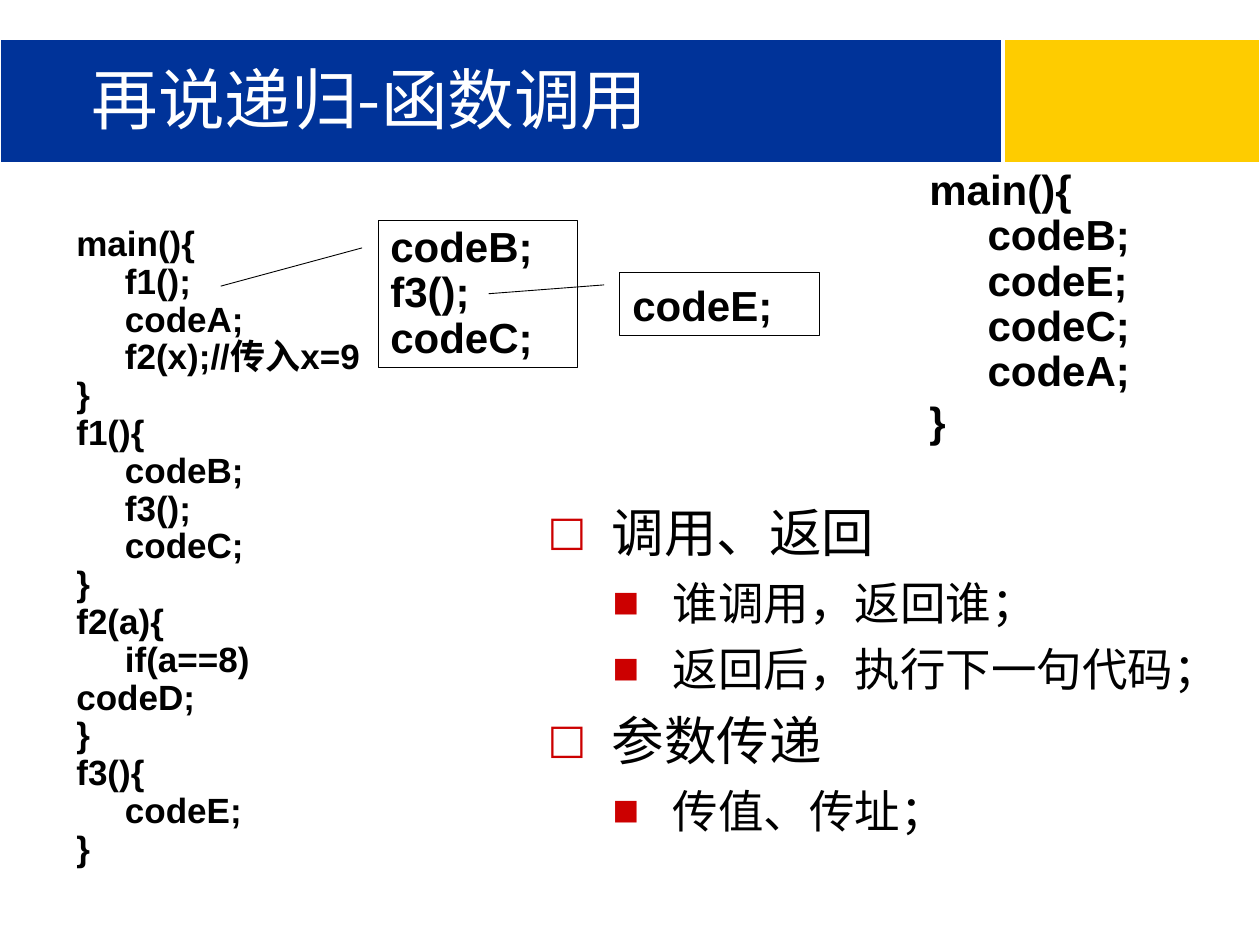
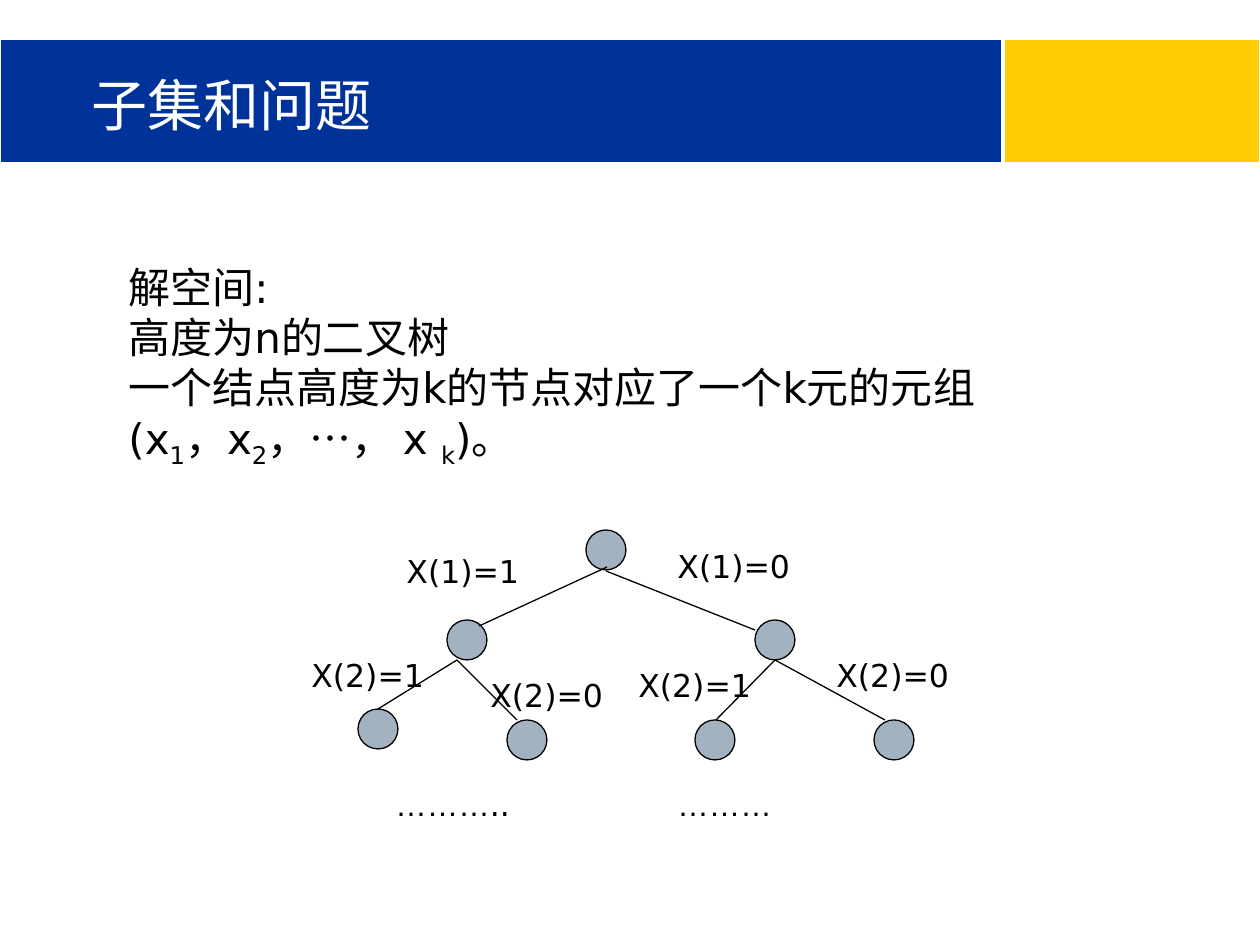
from lxml.etree import SubElement
from pptx import Presentation
from pptx.dml.color import RGBColor
from pptx.enum.shapes import MSO_CONNECTOR, MSO_SHAPE
from pptx.enum.text import MSO_ANCHOR, MSO_AUTO_SIZE, PP_ALIGN
from pptx.oxml.ns import qn
from pptx.util import Pt

EMU_PER_PX = 914400 / 126
COLORS = {
    "blue": "003399",
    "yellow": "FECC00",
    "white": "FFFFFF",
    "black": "000000",
    "bullet": "CC0000",
    "node": "A3B2C1",
}
CODE_FONT, TEXT_FONT, CHINESE_FONT = "Arial", "DejaVu Sans", "Noto Sans CJK SC"

# Boxes are (left, top, width, height) in px
BANDS = [((1004, 39, 256, 124), "yellow"), ((0, 39, 1002, 124), "blue")]
TITLE_BOX = (79, 42, 1103, 102)

CALL_TITLE = "再说递归-函数调用"
PROGRAM = [
    "main(){", "     f1();", "     codeA;", "     f2(x);//传入x=9", "}",
    "f1(){", "     codeB;", "     f3();", "     codeC;", "}",
    "f2(a){", "     if(a==8) codeD;", "}",
    "f3(){", "     codeE;", "}",
]
EXPANDED_MAIN = [
    "main(){", "     codeB;", "     codeE;", "     codeC;", "     codeA;", "}",
]
CALLOUTS = [
    ((378, 220, 199, 147), ["codeB;", "f3();", "codeC;"], 0.9,
     (0.19, -0.08, 0.45, -0.79)),
    ((620, 273, 199, 63), ["codeE;"], 1.0, (0.19, -0.08, 0.33, -0.66)),
]
CALL_NOTES_BOX = (535, 494, 672, 349)
CALL_NOTES = [
    (0, "调用、返回"),
    (1, "谁调用，返回谁；"),
    (1, "返回后，执行下一句代码；"),
    (0, "参数传递"),
    (1, "传值、传址；"),
]
BULLET_LEVELS = [
    {"char": "□", "percent": 78, "left": 64, "hanging": 64, "size": 30, "before": 7.5},
    {"char": "■", "percent": 62, "left": 125, "hanging": 60, "size": 26, "before": 6.5},
]

SUBSET_TITLE = "子集和问题"
# A line is a string or a list of runs: (text, font or None, baseline percent)
SOLUTION_SPACE = [
    "解空间:",
    "高度为n的二叉树",
    "一个结点高度为k的节点对应了一个k元的元组",
    [("(x", None, 0), ("1", None, -25), ("，x", None, 0), ("2", None, -25),
     ("，", None, 0), ("…", CODE_FONT, 0), ("， x ", None, 0),
     ("k", None, -25), (")。", None, 0)],
]
NODE_SIZE = 40
NODES = [(586, 530), (447, 620), (755, 620), (358, 709), (507, 720), (695, 720), (874, 720)]
BRANCHES = [
    ((607, 567), [(479, 626)]),
    ((606, 571), [(755, 630)]),
    ((457, 660), [(378, 709), (517, 720)]),
    ((775, 660), [(716, 720), (885, 720)]),
]
LABEL_SIZE = (169, 50)
BRANCH_LABELS = [
    ((394, 546), "X(1)=1"), ((665, 541), "X(1)=0"),
    ((299, 650), "X(2)=1"), ((478, 670), "X(2)=0"),
    ((626, 660), "X(2)=1"), ((824, 650), "X(2)=0"),
]
CONTINUATIONS = [
    ((383, 779, 248, 50), [("………", CODE_FONT, 0), ("..", None, 0)]),
    ((665, 779, 318, 50), [("………", CODE_FONT, 0)]),
]


def px(*lengths):
    return [round(length * EMU_PER_PX) for length in lengths]


def rgb(name):
    return RGBColor.from_string(COLORS[name])


def style_paragraph(paragraph, size, font_name, color="black", bold=False):
    font = paragraph.font
    font.size, font.bold = Pt(size), bold
    font.color.rgb = rgb(color)
    font.name = font_name
    defaults = paragraph._p.pPr.find(qn("a:defRPr"))
    SubElement(defaults, qn("a:ea"), typeface=CHINESE_FONT)


def add_runs(paragraph, line):
    runs = [(line, None, 0)] if isinstance(line, str) else line
    for text, font_name, baseline in runs:
        run = paragraph.add_run()
        run.text = text
        if font_name:
            run.font.name = font_name
        if baseline:
            run._r.get_or_add_rPr().set("baseline", str(baseline * 1000))


def write_lines(frame, lines, size, font_name, spacing=1.0, bold=False):
    for index, line in enumerate(lines):
        paragraph = frame.add_paragraph() if index else frame.paragraphs[0]
        add_runs(paragraph, line)
        paragraph.alignment = PP_ALIGN.LEFT
        paragraph.line_spacing = spacing
        style_paragraph(paragraph, size, font_name, bold=bold)


def add_text(slide, box, lines, size, font_name, wrap=True, **style):
    frame = slide.shapes.add_textbox(*px(*box)).text_frame
    frame.word_wrap = wrap
    write_lines(frame, lines, size, font_name, **style)
    return frame


def add_filled_shape(slide, kind, box, fill, line, line_width=0.75):
    shape = slide.shapes.add_shape(kind, *px(*box))
    shape.shadow.inherit = False
    shape.fill.solid()
    shape.fill.fore_color.rgb = rgb(fill)
    shape.line.color.rgb = rgb(line)
    shape.line.width = Pt(line_width)
    return shape


def add_branch(slide, start, end):
    connector = slide.shapes.add_connector(MSO_CONNECTOR.STRAIGHT, *px(*start, *end))
    connector.line.color.rgb = rgb("black")
    connector.line.width = Pt(0.75)
    SubElement(connector._element.spPr, qn("a:effectLst"))


def move_placeholder(shape, box):
    shape.left, shape.top, shape.width, shape.height = px(*box)
    shape.text_frame.auto_size = MSO_AUTO_SIZE.NONE


def add_titled_slide(presentation, layout_index, title, size):
    slide = presentation.slides.add_slide(presentation.slide_layouts[layout_index])
    shape = slide.shapes.title
    move_placeholder(shape, TITLE_BOX)
    shape.text_frame.vertical_anchor = MSO_ANCHOR.BOTTOM
    paragraph = shape.text_frame.paragraphs[0]
    paragraph.text = title
    paragraph.alignment = PP_ALIGN.LEFT
    style_paragraph(paragraph, size, CHINESE_FONT, "white")
    return slide


def add_bands_to_master(presentation, slide):
    """Draw the bands on a slide, then move them to the master behind all slides."""
    for box, color in BANDS:
        band = add_filled_shape(slide, MSO_SHAPE.RECTANGLE, box, color, "white")
        presentation.slide_master.shapes.element.append(band.element)


def add_bullet(paragraph, level):
    properties = paragraph._p.get_or_add_pPr()
    left, hanging = px(level["left"], level["hanging"])
    properties.set("marL", str(left))
    properties.set("indent", str(-hanging))
    color = SubElement(properties, qn("a:buClr"))
    SubElement(color, qn("a:srgbClr"), val=COLORS["bullet"])
    SubElement(properties, qn("a:buSzPct"), val=str(level["percent"] * 1000))
    SubElement(properties, qn("a:buFont"), typeface=TEXT_FONT)
    SubElement(properties, qn("a:buChar"), char=level["char"])


def fill_call_notes(body):
    move_placeholder(body, CALL_NOTES_BOX)
    for index, (depth, text) in enumerate(CALL_NOTES):
        frame, level = body.text_frame, BULLET_LEVELS[depth]
        paragraph = frame.add_paragraph() if index else frame.paragraphs[0]
        paragraph.text, paragraph.level = text, depth
        add_bullet(paragraph, level)
        paragraph.space_before = Pt(level["before"] if index else 0)
        style_paragraph(paragraph, level["size"], TEXT_FONT)


def build_call_slide(presentation):
    slide = add_titled_slide(presentation, 1, CALL_TITLE, 38)
    add_bands_to_master(presentation, slide)
    fill_call_notes(slide.placeholders[1])
    add_text(slide, (64, 220, 326, 617), PROGRAM, 20, CODE_FONT,
             wrap=False, spacing=0.9, bold=True)
    expanded = add_text(slide, (917, 163, 378, 290), EXPANDED_MAIN, 24, CODE_FONT,
                        spacing=0.9, bold=True)
    expanded.paragraphs[-1].line_spacing = 1.0
    for box, code, spacing, pointer in CALLOUTS:
        callout = add_filled_shape(slide, MSO_SHAPE.LINE_CALLOUT_1, box,
                                   "white", "black", 0.5)
        for index, value in enumerate(pointer):
            callout.adjustments[index] = value
        callout.text_frame.vertical_anchor = MSO_ANCHOR.TOP
        write_lines(callout.text_frame, code, 24, CODE_FONT, spacing, bold=True)


def build_subset_slide(presentation):
    slide = add_titled_slide(presentation, 5, SUBSET_TITLE, 32)
    add_text(slide, (116, 255, 1040, 222), SOLUTION_SPACE, 24, TEXT_FONT)
    for node in NODES:
        add_filled_shape(slide, MSO_SHAPE.OVAL, (*node, NODE_SIZE, NODE_SIZE),
                         "node", "black")
    for start, ends in BRANCHES:
        for end in ends:
            add_branch(slide, start, end)
    for box, runs in CONTINUATIONS:
        add_text(slide, box, [runs], 18, TEXT_FONT)
    for position, label in BRANCH_LABELS:
        add_text(slide, (*position, *LABEL_SIZE), [label], 18, TEXT_FONT)


def main():
    presentation = Presentation()
    presentation.slide_width, presentation.slide_height = px(1260, 945)
    build_call_slide(presentation)
    build_subset_slide(presentation)
    presentation.save("out.pptx")


if __name__ == "__main__":
    main()
